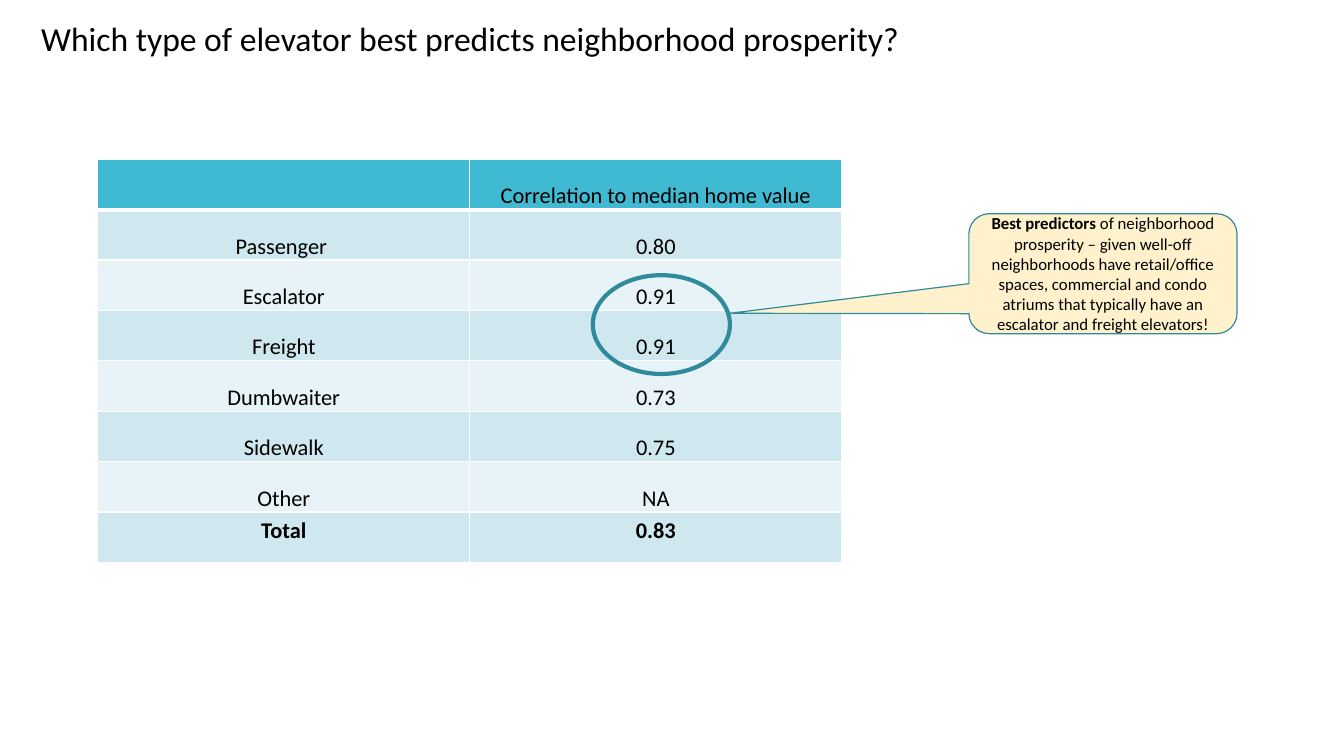
from lxml.etree import SubElement
from pptx import Presentation
from pptx.dml.color import RGBColor
from pptx.enum.shapes import MSO_SHAPE
from pptx.enum.text import MSO_ANCHOR, MSO_AUTO_SIZE, PP_ALIGN
from pptx.oxml.ns import qn
from pptx.util import Emu, Pt

EMU_PER_PX = 9144
FONT = "Calibri"
BLACK = "000000"
WHITE = "FFFFFF"
TEAL = "2F8A9B"
HEADER_FILL = "40BAD2"
BAND_FILLS = ("CFE7EE", "E8F3F7")
CALLOUT_FILL = "FFF1CB"

ROWS = [
    ("", "Correlation to median home value"),
    ("Passenger ", "0.80"),
    ("Escalator", "0.91"),
    ("Freight", "0.91"),
    ("Dumbwaiter", "0.73"),
    ("Sidewalk", "0.75"),
    ("Other", "NA"),
    ("Total", "0.83"),
]


def px(*lengths):
    return [Emu(length * EMU_PER_PX) for length in lengths]


def color(hex_string):
    return RGBColor.from_string(hex_string)


def format_runs(paragraph, size, bold=False):
    for run in paragraph.runs:
        run.font.name = FONT
        run.font.size = Pt(size)
        run.font.bold = bold
        run.font.color.rgb = color(BLACK)


def add_title(slide, text, box):
    text_frame = slide.shapes.add_textbox(*px(*box)).text_frame
    text_frame.word_wrap = False
    text_frame.auto_size = MSO_AUTO_SIZE.SHAPE_TO_FIT_TEXT
    text_frame.text = text
    format_runs(text_frame.paragraphs[0], 24)


def add_borders(cell, bottom_width):
    properties = cell._tc.get_or_add_tcPr()
    for side, width in (("L", 1), ("R", 1), ("T", 1), ("B", bottom_width)):
        line = SubElement(properties, qn(f"a:ln{side}"), w=str(Pt(width)))
        fill = SubElement(line, qn("a:solidFill"))
        SubElement(fill, qn("a:srgbClr"), val=WHITE)


def format_cell(cell, text, fill, is_header, is_total):
    add_borders(cell, 3 if is_header else 1)
    cell.fill.solid()
    cell.fill.fore_color.rgb = color(fill)
    cell.text_frame.text = text
    paragraph = cell.text_frame.paragraphs[0]
    paragraph.alignment = PP_ALIGN.CENTER
    format_runs(paragraph, 16, is_total)
    if text and not is_total:
        cell.vertical_anchor = MSO_ANCHOR.BOTTOM
        cell.margin_left, cell.margin_top, cell.margin_right, cell.margin_bottom = px(1, 1, 1, 0)


def add_correlation_table(slide, box):
    table = slide.shapes.add_table(len(ROWS), len(ROWS[0]), *px(*box)).table
    table.first_row = False
    table.horz_banding = False
    for row_index, texts in enumerate(ROWS):
        is_header = row_index == 0
        is_total = row_index == len(ROWS) - 1
        fill = HEADER_FILL if is_header else BAND_FILLS[(row_index - 1) % 2]
        for column_index, text in enumerate(texts):
            format_cell(table.cell(row_index, column_index), text, fill, is_header, is_total)


def add_outlined_shape(slide, kind, box, line_width, fill=None):
    shape = slide.shapes.add_shape(kind, *px(*box))
    shape.shadow.inherit = False
    shape.line.color.rgb = color(TEAL)
    shape.line.width = Pt(line_width)
    if fill:
        shape.fill.solid()
        shape.fill.fore_color.rgb = color(fill)
    else:
        shape.fill.background()
    return shape


def add_callout(slide, lead, body, box):
    shape = add_outlined_shape(slide, MSO_SHAPE.ROUNDED_RECTANGULAR_CALLOUT, box, 0.85, CALLOUT_FILL)
    for index, value in enumerate((-1.39, 0.33, 0.17)):
        shape.adjustments[index] = value
    text_frame = shape.text_frame
    text_frame.word_wrap = True
    text_frame.vertical_anchor = MSO_ANCHOR.MIDDLE
    text_frame.text = lead
    paragraph = text_frame.paragraphs[0]
    paragraph.alignment = PP_ALIGN.CENTER
    paragraph.add_run().text = body
    format_runs(paragraph, 12)
    paragraph.runs[0].font.bold = True


def main():
    presentation = Presentation()
    presentation.slide_width, presentation.slide_height = px(1333, 750)
    slide = presentation.slides.add_slide(presentation.slide_layouts[6])
    add_title(slide, "Which type of elevator best predicts neighborhood prosperity?", (31, 13, 879, 50))
    add_correlation_table(slide, (97, 158, 738, 400))
    add_outlined_shape(slide, MSO_SHAPE.OVAL, (588, 273, 136, 98), 3)
    add_callout(
        slide,
        "Best predictors ",
        "of neighborhood prosperity – given well-off neighborhoods have retail/office spaces, "
        "commercial and condo atriums that typically have an escalator and freight elevators!",
        (961, 212, 266, 119),
    )
    presentation.save("out.pptx")


if __name__ == "__main__":
    main()
